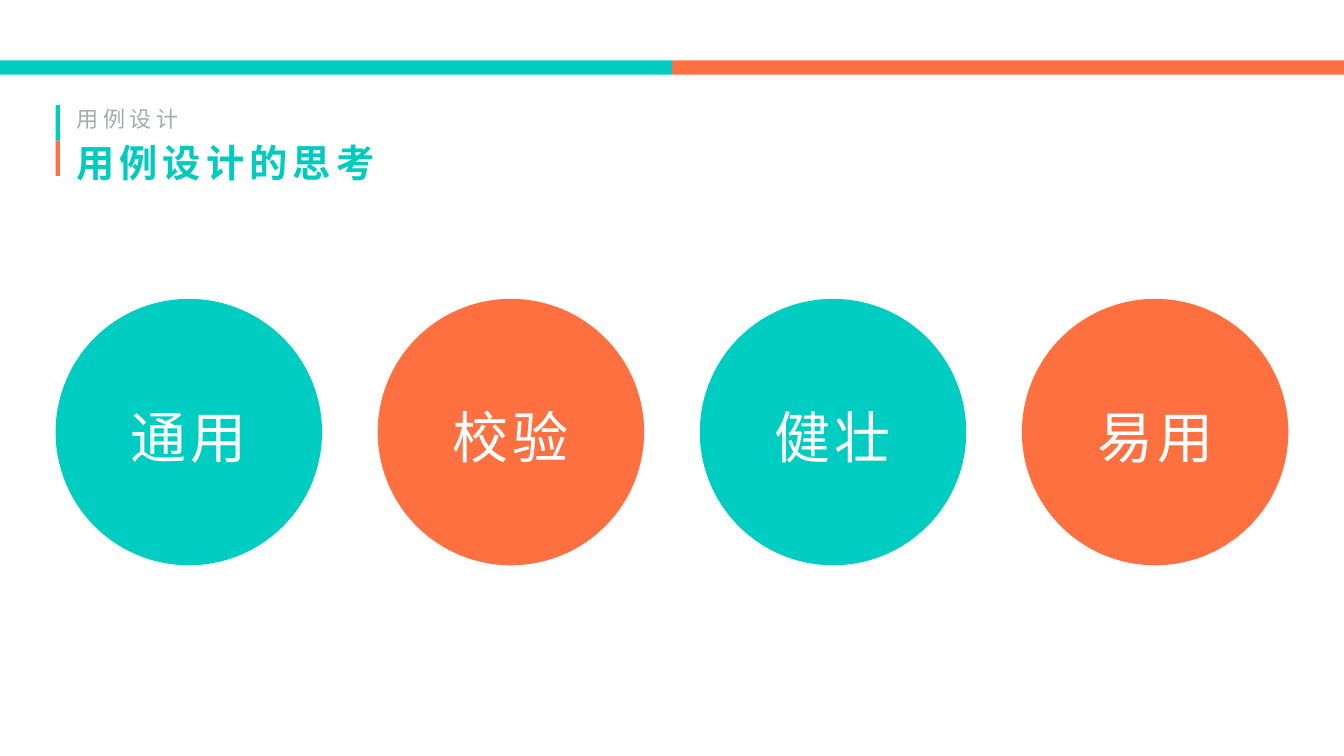
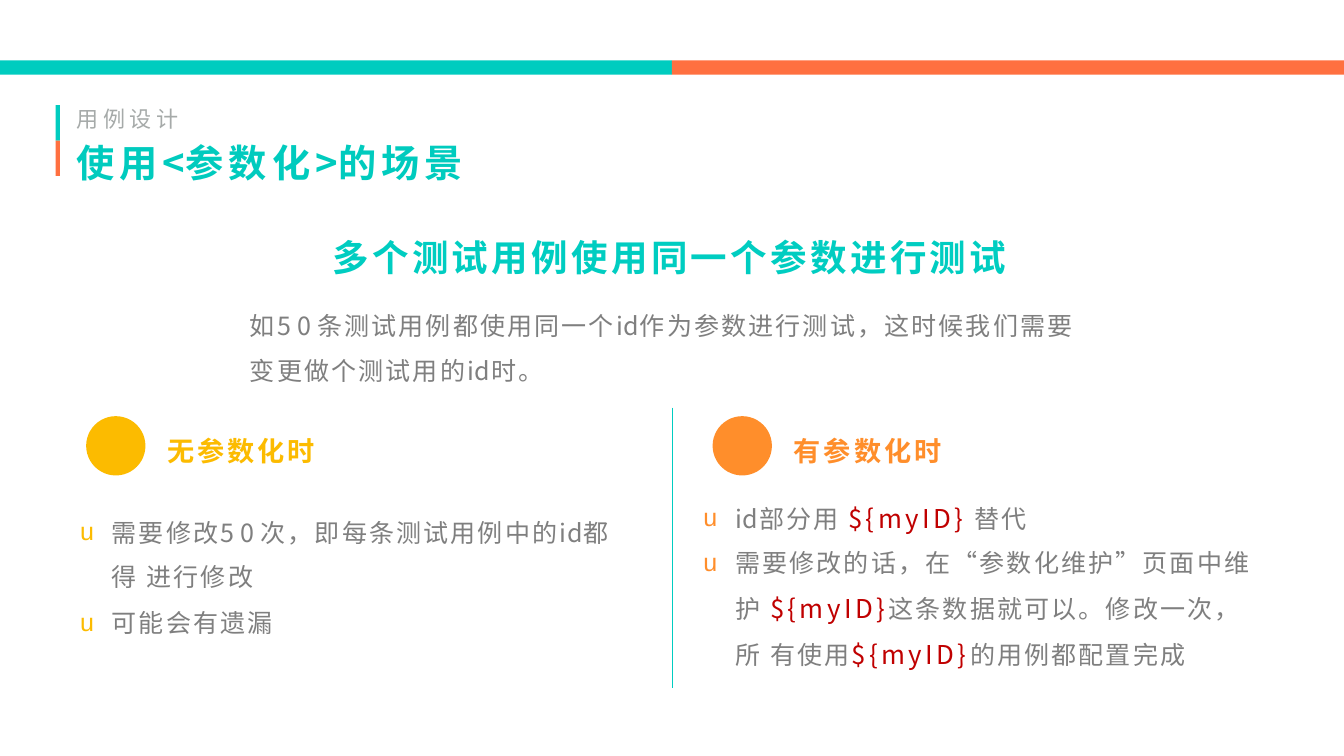
"""Build two slides about test case design and parameterised cases."""
from lxml import etree
from pptx import Presentation
from pptx.dml.color import RGBColor
from pptx.enum.shapes import MSO_CONNECTOR, MSO_SHAPE
from pptx.enum.text import MSO_ANCHOR, PP_ALIGN
from pptx.oxml.ns import qn
from pptx.util import Inches, Pt

RECT, OVAL = MSO_SHAPE.RECTANGLE, MSO_SHAPE.OVAL
STRAIGHT = MSO_CONNECTOR.STRAIGHT
CENTER, MIDDLE = PP_ALIGN.CENTER, MSO_ANCHOR.MIDDLE
SC, TC = "Noto Sans CJK SC", "Noto Sans CJK TC"
TEAL, BAND_TEAL, ORANGE = "00CDC1", "00CCBF", "FF7040"
AMBER, TANGERINE = "FCBB00", "FF8E2B"
W, H = 21.99, 12.37

STYLES = {
    "section": dict(name=SC, size=Pt(26), bold=False, color="A6AAA9", spc=5.2),
    "title": dict(name=TC, size=Pt(45), bold=True, color="00CBBE", spc=6),
    "circle": dict(name=SC, size=Pt(66), bold=False, color="FFFFFF", spc=4.8),
    "heading": dict(name=TC, size=Pt(43), bold=True, color=TEAL, spc=4),
    "body": dict(name=SC, size=Pt(29.5), bold=False, color="7F7F7F", spc=2.5),
    "param": dict(name=SC, size=Pt(30.5), bold=False, color="C00000", spc=4),
    "amber": dict(name=TC, size=Pt(32), bold=True, color=AMBER, spc=3.4),
    "tangerine": dict(name=TC, size=Pt(32), bold=True, color=TANGERINE, spc=3.4),
}


def add_filled(s, kind, box, color):
    """Add a plain filled shape."""
    sp = s.shapes.add_shape(kind, *map(Inches, box))
    sp.shadow.inherit = False
    sp.fill.solid()
    sp.fill.fore_color.rgb = RGBColor.from_string(color)
    sp.line.fill.background()
    return sp


def write_text(sp, paragraphs):
    """Write (format, runs) paragraphs; a run is text, style and optional spacing."""
    tf = sp.text_frame
    tf.word_wrap = True
    tf.margin_left = tf.margin_right = tf.margin_top = tf.margin_bottom = 0
    for i, (fmt, runs) in enumerate(paragraphs):
        p = tf.paragraphs[0] if i == 0 else tf.add_paragraph()
        fmt = dict(fmt)
        pPr = p._p.get_or_add_pPr()
        pPr.set("marL", str(Inches(fmt.pop("left", 0))))
        bullet = fmt.pop("bullet", None)
        if bullet:
            pPr.set("marL", str(Inches(0.53)))
            pPr.set("indent", str(Inches(-0.52)))
            clr = etree.SubElement(pPr, qn("a:buClr"))
            etree.SubElement(clr, qn("a:srgbClr"), val=bullet)
            etree.SubElement(pPr, qn("a:buFont"), typeface="Arial")
            etree.SubElement(pPr, qn("a:buChar"), char="u")
        for key, value in fmt.items():
            setattr(p, key, value)
        for text, style, *spacing in runs:
            r = p.add_run()
            r.text = text
            look = dict(STYLES[style])
            spc = spacing[0] if spacing else look["spc"]
            r.font.color.rgb = RGBColor.from_string(look["color"])
            for key in ("name", "size", "bold"):
                setattr(r.font, key, look[key])
            rPr = r._r.get_or_add_rPr()
            rPr.set("spc", str(round(spc * 100)))
            etree.SubElement(rPr, qn("a:ea"), typeface=look["name"])


prs = Presentation()
prs.slide_width, prs.slide_height = Inches(W), Inches(H)

titles = [
    [("用例设计的思考", "title")],
    [("使用", "title"), ("< ", "title", -10), ("参数化", "title"),
     ("> ", "title", -10), ("的场景", "title")],
]
slides = []
for title in titles:
    s = prs.slides.add_slide(prs.slide_layouts[6])
    for i, color in enumerate((BAND_TEAL, ORANGE)):
        add_filled(s, RECT, (i * W / 2, 0.99, W / 2, 0.23), color)
        add_filled(s, RECT, (0.91, 1.72 + i * 0.58, 0.07, 0.58), color)
    section_box = s.shapes.add_textbox(*map(Inches, (1.26, 1.73, 1.9, 0.37)))
    write_text(section_box, [({"line_spacing": Pt(30.6)}, [("用例设计", "section")])])
    title_box = s.shapes.add_textbox(*map(Inches, (1.25, 2.29, 19.49, 0.62)))
    write_text(title_box, [({"line_spacing": Pt(52.9)}, title)])
    slides.append(s)

qualities, scenario = slides

for i, word in enumerate(("通用", "校验", "健壮", "易用")):
    sp = add_filled(qualities, OVAL, (0.91 + i * 5.27, 4.89, 4.36, 4.36),
                    (TEAL, ORANGE)[i % 2])
    write_text(sp, [({"alignment": CENTER}, [(word, "circle")])])
    sp.text_frame.vertical_anchor = MIDDLE
    sp.text_frame.margin_top = Inches(0.14)

intro_box = scenario.shapes.add_textbox(*map(Inches, (4.09, 3.84, 13.58, 2.38)))
write_text(intro_box, [
    ({"left": 1.35}, [("多个测试用例使用同一个参数进行测试", "heading")]),
    ({"line_spacing": 1.49, "space_before": Pt(20)}, [
        ("如", "body"), ("50", "body", 7.2), ("条测试用例都使用同一个", "body"),
        ("id", "body", 0.8),
        ("作为参数进行测试，这时候我们需要 变更做个测试用的", "body"),
        ("id", "body", 0.8), ("时。", "body")]),
])

divider = scenario.shapes.add_connector(
    STRAIGHT, Inches(W / 2), Inches(6.67), Inches(W / 2), Inches(11.25))
divider.line.color.rgb = RGBColor.from_string(TEAL)
divider.line.width = Pt(0.82)
etree.SubElement(divider._element.spPr, qn("a:effectLst"))

param = ("${myID}", "param")
without_param = [
    ({"bullet": AMBER, "line_spacing": 1.49}, [
        ("需要修改", "body"), ("50", "body", 7.2),
        ("次，即每条测试用例中的", "body"), ("id", "body", 0.8),
        ("都得 进行修改", "body")]),
    ({"bullet": AMBER, "space_before": Pt(18.2)}, [("可能会有遗漏", "body")]),
]
with_param = [
    ({"bullet": TANGERINE}, [
        ("id", "body", 0.8), ("部分用 ", "body"), param, (" 替代", "body")]),
    ({"bullet": TANGERINE, "line_spacing": 1.48}, [
        ("需要修改的话，在“参数化维护”页面中维护 ", "body"), param,
        ("这条数据就可以。修改一次，所 有使用", "body"), param,
        ("的用例都配置完成", "body")]),
]
columns = [
    (1.41, 1.3, 8.9, AMBER, "amber", "无参数化时", without_param),
    (11.66, 11.5, 9.15, TANGERINE, "tangerine", "有参数化时", with_param),
]
for dot_x, list_x, list_w, color, style, label, points in columns:
    add_filled(scenario, OVAL, (dot_x, 6.81, 0.97, 0.97), color)
    label_box = scenario.shapes.add_textbox(
        *map(Inches, (dot_x + 1.33, 7.11, 3, 0.47)))
    write_text(label_box, [({}, [(label, style)])])
    list_box = scenario.shapes.add_textbox(*map(Inches, (list_x, 8.22, list_w, 2.67)))
    write_text(list_box, points)

prs.save("out.pptx")
